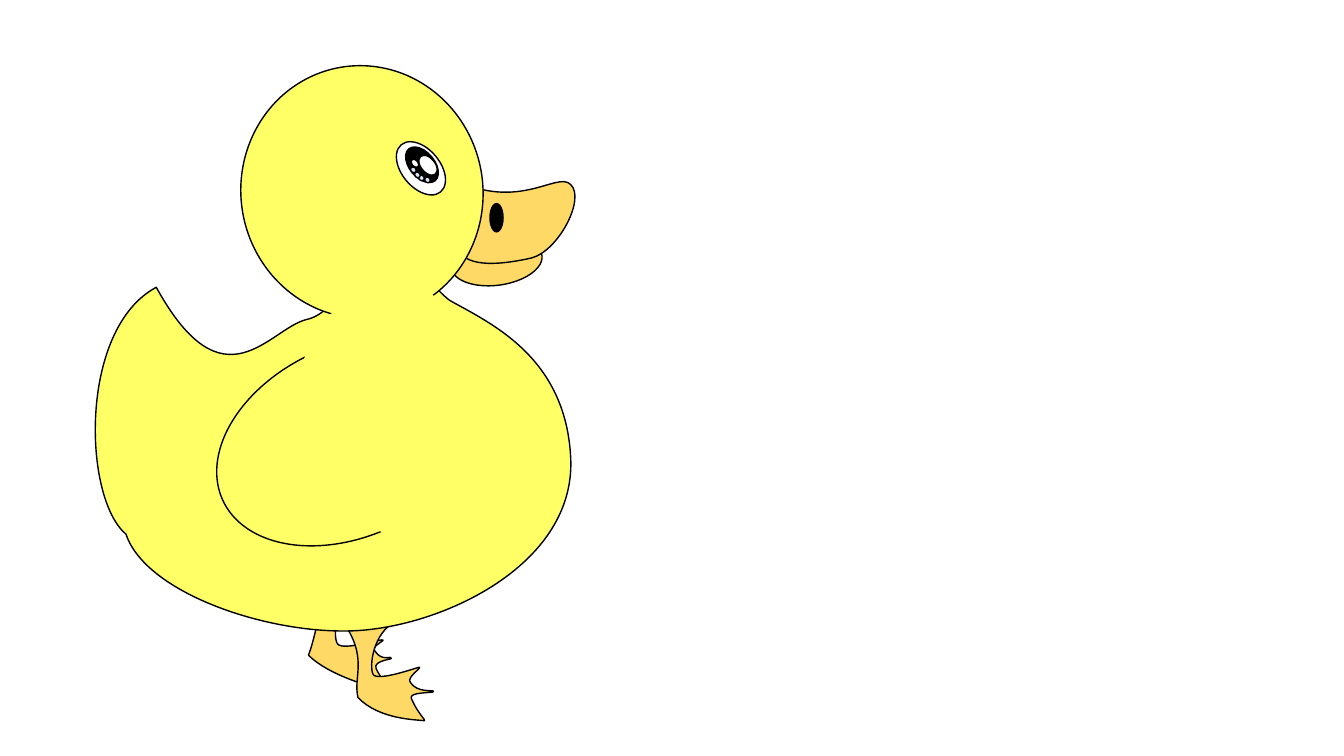
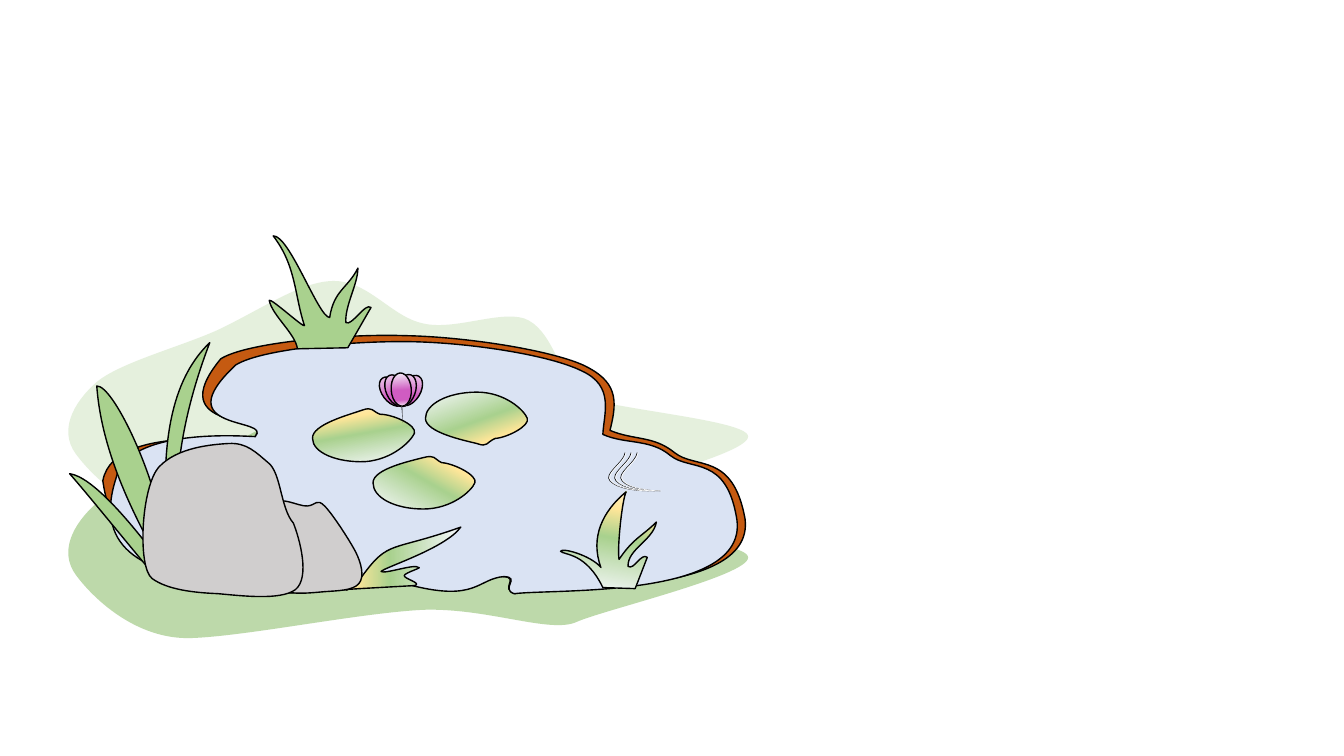
"""Draws a duck and a garden pond on two slides."""
import lxml.etree
import pptx
import pptx.dml.color
import pptx.enum.shapes
import pptx.oxml.ns
import pptx.util

RGBColor = pptx.dml.color.RGBColor
BLACK = RGBColor(0x00, 0x00, 0x00)
WHITE = RGBColor(0xFF, 0xFF, 0xFF)
DUCK_YELLOW = RGBColor(0xFF, 0xFF, 0x66)
BEAK_ORANGE = RGBColor(0xFF, 0xD9, 0x66)
PALE_BLUE = RGBColor(0xDA, 0xE3, 0xF3)
MEADOW_GREEN = RGBColor(0x70, 0xAD, 0x47)
LEAF_GREEN = RGBColor(0xA9, 0xD1, 0x8E)
BANK_BROWN = RGBColor(0xC5, 0x5A, 0x11)
ROCK_GREY = RGBColor(0xD0, 0xCE, 0xCE)
MIST = RGBColor(0xF6, 0xF8, 0xFC)
PETAL_PINK = RGBColor(0xD0, 0x5C, 0xC2)
SAND = RGBColor(0xFF, 0xE6, 0x99)
CREAM = RGBColor(0xFF, 0xF2, 0xCC)

LEAF_STOPS = ((0, MIST), (53, LEAF_GREEN), (79, SAND), (100, CREAM))
PETAL_STOPS = ((0, MIST), (53, PETAL_PINK), (79, PETAL_PINK), (100, WHITE))

COLUMNS, ROWS = 13.33, 7.5
POINTS_PER_COMMAND = {"M": 1, "L": 1, "C": 3}

FAR_LEG = """M 3.46,5.88 L 3.22,5.9 C 3.17,6.05 3.12,6.35 3.06,6.5
    3.27,6.71 3.73,6.83 3.84,6.85 3.95,6.87 3.8,6.79 3.73,6.63
    3.7,6.55 3.91,6.54 3.88,6.53 3.89,6.5 3.79,6.57 3.72,6.46
    3.67,6.42 3.81,6.36 3.8,6.35 3.8,6.33 3.41,6.46 3.35,6.39
    3.29,6.31 3.36,5.98 3.46,5.88"""
NEAR_LEG = """M 3.92,6.17 L 3.39,6.15 C 3.66,6.53 3.5,6.7 3.55,6.92
    3.76,7.14 4.13,7.14 4.21,7.15 4.23,7.15 4.15,7.09 4.08,6.93
    4.05,6.86 4.3,6.88 4.3,6.86 4.3,6.84 4.14,6.88 4.07,6.77
    4.03,6.72 4.18,6.63 4.16,6.62 4.17,6.61 3.74,6.77 3.7,6.69
    3.66,6.61 3.7,6.28 3.92,6.17"""
BODY = """M 5.66,4.54 C 5.61,3.54 4.87,3.21 4.46,2.98
    4.16,2.75 4.03,2.31 3.79,2.34 3.56,2.38 3.42,3.09 3.04,3.17
    2.67,3.26 2.22,4.07 1.55,2.85 0.78,3.26 0.82,4.94 1.25,5.3
    1.46,5.93 2.86,6.36 3.71,6.24 4.56,6.13 5.71,5.53 5.66,4.54"""
UPPER_BEAK = """M 5.66,1.83 C 5.52,1.69 5.12,2.14 4.41,1.73
    3.7,1.31 4.5,2.28 4.54,2.47 4.63,2.67 5,2.62 5.27,2.56
    5.54,2.49 5.81,1.97 5.66,1.83"""

MEADOW = """M 0.75,5.7 C 0.59,5.48 0.71,5.21 0.96,4.99
    1.21,4.78 1.91,4.61 2.25,4.43 2.67,4.22 3.05,3.96 3.36,3.99
    3.68,4.02 3.9,4.35 4.2,4.41 4.51,4.48 4.95,4.28 5.2,4.36
    5.46,4.45 5.58,4.92 5.67,5.08 5.77,5.24 7.42,5.35 7.42,5.53
    7.43,5.71 5.99,6.05 5.72,6.17 5.46,6.29 4.84,6.03 4.2,6.05
    3.57,6.08 2.46,6.31 1.9,6.33 1.34,6.35 0.91,5.92 0.75,5.7"""
BANK = """M 4.02,5.78 C 3.34,5.78 1.25,6.38 1.02,4.77
    1.14,4.13 2.71,4.46 2.54,4.31 2.74,4.11 1.58,4.3 2.19,3.56
    2.44,3.4 3.41,3.31 4.01,3.33 4.61,3.34 5.44,3.47 5.78,3.62
    6.12,3.78 6.13,3.96 6.05,4.27 6.29,4.37 6.48,4.32 6.69,4.49
    6.9,4.66 7.27,4.48 7.39,5.15 7.49,5.97 5.33,5.79 5.11,5.89
    4.95,5.84 5.16,5.73 4.99,5.72 4.75,5.69 4.7,5.78 4.02,5.78"""
WATER = """M 4.09,5.81 C 3.45,5.65 0.68,6.2 1.15,4.75
    1.26,4.19 2.65,4.35 2.53,4.33 2.72,4.14 1.62,4.29 2.34,3.62
    2.6,3.46 3.51,3.38 4.08,3.39 4.65,3.4 5.45,3.52 5.77,3.68
    6.1,3.83 5.99,4.1 5.98,4.31 6.2,4.41 6.45,4.35 6.65,4.52
    6.85,4.68 7.21,4.51 7.31,5.16 7.41,5.94 5.51,5.84 5.1,5.89
    4.96,5.84 5.17,5.73 5,5.72 4.74,5.74 4.73,5.97 4.09,5.81"""
LEFT_REEDS = """M 0.96,3.83 C 1.12,3.82 1.54,4.7 1.63,5.33
    1.68,5.07 1.49,3.96 2.08,3.4 1.63,4.58 1.79,5.22 1.74,5.39
    1.8,5.43 1.98,5.19 2.05,5.23 L 1.81,5.63 1.49,5.66
    C 1.28,5.41 0.8,4.82 0.69,4.7 0.92,4.73 1.31,5.2 1.57,5.55
    1.39,5.22 1.01,4.54 0.96,3.83"""
FRONT_GRASS = """M 3.36,5.78 C 3.5,5.94 3.39,5.81 3.59,5.72
    3.86,5.35 3.87,5.48 4.57,5.23 4.42,5.44 3.81,5.63 3.78,5.67
    3.81,5.7 4.12,5.59 4.15,5.63 4.2,5.63 4.02,5.68 4.01,5.71
    4,5.74 4.2,5.79 4.11,5.81 L 3.57,5.84 3.25,5.86
    C 3.21,5.85 3.3,5.8 3.36,5.78"""
BACK_GRASS = """M 2.71,2.34 C 2.87,2.33 3.16,3.15 3.27,3.15
    3.31,2.88 3.45,2.86 3.55,2.66 3.55,2.82 3.42,3.03 3.43,3.2
    3.49,3.24 3.62,3 3.68,3.05 L 3.45,3.45 2.95,3.46
    C 2.93,3.31 2.7,3.13 2.67,2.98 2.68,2.95 3.02,3.26 3.02,3.23
    2.92,2.93 2.94,2.64 2.71,2.34"""
RIGHT_GRASS = """M 6.21,4.88 C 6.17,4.96 6.12,5.44 6.14,5.55
    6.29,5.33 6.36,5.33 6.51,5.18 6.48,5.36 6.22,5.45 6.23,5.62
    6.29,5.66 6.36,5.48 6.42,5.53 L 6.3,5.84 5.98,5.83
    C 5.81,5.48 5.6,5.51 5.56,5.47 5.57,5.43 5.86,5.51 5.96,5.63
    5.85,5.33 5.98,5.07 6.21,4.88"""
LEFT_LILY = """M 4.11,4.3 C 4.08,4.37 3.9,4.56 3.62,4.58
    3.34,4.59 3.1,4.49 3.1,4.35 3.09,4.21 3.48,4.11 3.59,4.07
    3.7,4.03 3.69,4.08 3.77,4.11 3.9,4.11 4.14,4.22 4.11,4.3"""
RIGHT_LILY = """M 5.23,4.15 C 5.2,4.07 5.01,3.89 4.73,3.89
    4.44,3.89 4.22,4.01 4.22,4.15 4.22,4.29 4.61,4.37 4.73,4.4
    4.84,4.44 4.82,4.39 4.91,4.35 5.04,4.34 5.26,4.22 5.23,4.15"""
FRONT_LILY = """M 4.71,4.79 C 4.68,4.87 4.48,5.05 4.2,5.05
    3.92,5.05 3.7,4.94 3.7,4.79 3.7,4.65 4.09,4.57 4.2,4.54
    4.32,4.51 4.3,4.55 4.38,4.59 4.51,4.6 4.74,4.72 4.71,4.79"""
SMALL_ROCK = """M 2.7,5.03 C 2.74,4.89 2.96,5.03 3.05,5.02
    3.14,5.01 3.14,4.94 3.22,5.02 3.3,5.1 3.48,5.38 3.53,5.48
    3.58,5.58 3.62,5.72 3.56,5.79 3.5,5.86 3.35,5.86 3.22,5.87
    3.1,5.88 2.85,5.91 2.79,5.84 2.72,5.76 2.65,5.17 2.7,5.03"""
LARGE_ROCK = """M 1.58,4.63 C 1.76,4.44 2.09,4.41 2.27,4.4
    2.45,4.39 2.54,4.49 2.66,4.59 2.79,4.69 2.78,5.04 2.91,5.19
    2.97,5.34 3.08,5.73 2.93,5.85 2.78,5.96 2.39,5.91 2.16,5.89
    1.92,5.88 1.66,5.85 1.51,5.74 1.36,5.63 1.4,4.82 1.58,4.63"""
RIPPLE = """M 6.43,4.87 C 6.33,4.87 6.12,4.85 6.05,4.77
    5.98,4.7 6.19,4.59 6.2,4.49"""


class Illustrator:
    """Holds the drawing style and the current slide."""

    def __init__(self, presentation):
        self.presentation = presentation
        self.column = presentation.slide_width / COLUMNS
        self.row = presentation.slide_height / ROWS
        self.slide = None

    def new_slide(self):
        """Starts a blank slide."""
        layout = self.presentation.slide_layouts[6]
        self.slide = self.presentation.slides.add_slide(layout)

    def style(self, shape, fill, line=BLACK, width=1, opacity=100, angle=0, **values):
        """Sets fill, outline, opacity and further shape attributes."""
        shape.shadow.inherit = False
        if fill is None:
            shape.fill.background()
        elif isinstance(fill, RGBColor):
            shape.fill.solid()
            shape.fill.fore_color.rgb = fill
        else:
            self.blend(shape, fill, angle)
        if line is None:
            shape.line.fill.background()
        else:
            shape.line.color.rgb = line
            shape.line.width = pptx.util.Pt(width)
        if opacity < 100:
            for color in shape._element.spPr.iter(pptx.oxml.ns.qn("a:srgbClr")):
                alpha = lxml.etree.SubElement(color, pptx.oxml.ns.qn("a:alpha"))
                alpha.set("val", str(opacity * 1000))
        for name, value in values.items():
            setattr(shape, name, value)
        return shape

    def blend(self, shape, stops, angle):
        """Fills a shape with a linear gradient, its angle clockwise."""
        shape.fill.gradient()
        shape.fill.gradient_angle = 360 - angle
        stop_list = next(shape._element.spPr.iter(pptx.oxml.ns.qn("a:gsLst")))
        for stop in list(stop_list):
            stop_list.remove(stop)
        for position, color in stops:
            stop = lxml.etree.SubElement(stop_list, pptx.oxml.ns.qn("a:gs"))
            stop.set("pos", str(position * 1000))
            value = lxml.etree.SubElement(stop, pptx.oxml.ns.qn("a:srgbClr"))
            value.set("val", str(color))

    def preset(self, kind, left, top, width, height, fill, adjustments=(), **values):
        """Adds a preset shape placed in columns and rows."""
        shape = self.slide.shapes.add_shape(
            getattr(pptx.enum.shapes.MSO_SHAPE, kind),
            round(left * self.column), round(top * self.row),
            round(width * self.column), round(height * self.row))
        for index, adjustment in enumerate(adjustments):
            shape.adjustments[index] = adjustment
        return self.style(shape, fill, **values)

    def segments(self, outline, shift):
        """Yields the point groups of an outline, measured on the slide."""
        command, points = "M", []
        for token in outline.split():
            if token in POINTS_PER_COMMAND:
                command = token
                continue
            x, y = map(float, token.split(","))
            points.append((round((x + shift[0]) * self.column),
                           round((y + shift[1]) * self.row)))
            if len(points) == POINTS_PER_COMMAND[command]:
                yield points
                points = []

    def curve(self, outline, fill, shift=(0, 0), closed=True, **values):
        """Adds a freeform of lines and Bézier curves."""
        (start,), *segments = self.segments(outline, shift)
        samples, current = [], start
        for points in segments:
            if len(points) == 3:
                for step in range(1, 20):
                    t = step / 20
                    weights = ((1 - t) ** 3, 3 * t * (1 - t) ** 2,
                               3 * t * t * (1 - t), t ** 3)
                    corners = (current, *points)
                    samples.append(tuple(
                        round(sum(w * corner[axis] for w, corner in zip(weights, corners)))
                        for axis in (0, 1)))
            current = points[-1]
            samples.append(current)
        builder = self.slide.shapes.build_freeform(*start)
        builder.add_line_segments(samples, close=closed)
        shape = builder.convert_to_shape()
        contour = next(shape._element.spPr.iter(pptx.oxml.ns.qn("a:path")))
        for line in contour.findall(pptx.oxml.ns.qn("a:lnTo")):
            contour.remove(line)
        for index, points in enumerate(segments, 1):
            tag = "a:cubicBezTo" if len(points) == 3 else "a:lnTo"
            segment = lxml.etree.Element(pptx.oxml.ns.qn(tag))
            contour.insert(index, segment)
            for x, y in points:
                point = lxml.etree.SubElement(segment, pptx.oxml.ns.qn("a:pt"))
                point.set("x", str(x - shape.left))
                point.set("y", str(y - shape.top))
        return self.style(shape, fill, **values)


def draw_duck(artist):
    """Draws the duck from legs to wing."""
    artist.new_slide()
    for outline, fill in ((FAR_LEG, BEAK_ORANGE), (NEAR_LEG, BEAK_ORANGE), (BODY, DUCK_YELLOW)):
        artist.curve(outline, fill)
    artist.preset("OVAL", 4.47, 2.36, 0.91, 0.47, BEAK_ORANGE, rotation=352.3)
    artist.curve(UPPER_BEAK, BEAK_ORANGE)
    artist.preset("OVAL", 2.39, 0.65, 2.4, 2.51, DUCK_YELLOW, rotation=350.3)
    artist.preset("OVAL", 4.86, 2.02, 0.13, 0.28, BLACK)
    eye_parts = [(3.87, 1.48, 0.61, 0.38, WHITE), (3.98, 1.51, 0.41, 0.25, BLACK),
                 (4.13, 1.57, 0.23, 0.14, WHITE)]
    glints = ((4.21, 1.76), (4.15, 1.74), (4.11, 1.71), (4.07, 1.66))
    eye_parts += [(left, top, 0.06, 0.05, PALE_BLUE) for left, top in glints]
    eye_parts.append((4.07, 1.59, 0.09, 0.06, WHITE))
    for part in eye_parts:
        artist.preset("OVAL", *part, rotation=50.2)
    artist.preset("OVAL", 2.08, 3.43, 2.79, 1.89, DUCK_YELLOW, rotation=154.9)
    for left, top in ((2.95, 3.32), (2.91, 2.99)):
        artist.preset("ROUNDED_RECTANGLE", left, top, 2.2, 1.89, DUCK_YELLOW, (0.5,),
                      line=None, rotation=59.1)


def draw_pond(artist):
    """Draws the pond with its plants, rocks and ripples."""
    artist.new_slide()
    for rise, opacity in ((0, 46), (-1.2, 18)):
        artist.curve(MEADOW, MEADOW_GREEN, (0, rise), line=None, opacity=opacity)
    for outline, fill, angle in (
            (BANK, BANK_BROWN, 0), (WATER, PALE_BLUE, 0), (LEFT_REEDS, LEAF_GREEN, 0),
            (FRONT_GRASS, LEAF_STOPS, 180), (BACK_GRASS, LEAF_GREEN, 0),
            (LEFT_LILY, LEAF_STOPS, 260), (RIGHT_LILY, LEAF_STOPS, 70),
            (SMALL_ROCK, ROCK_GREY, 0), (LARGE_ROCK, ROCK_GREY, 0),
            (RIGHT_GRASS, LEAF_STOPS, 280), (FRONT_LILY, LEAF_STOPS, 300)):
        artist.curve(outline, fill, angle=angle)
    artist.preset("ARC", 3.96, 4.03, 0.07, 0.33, BLACK, (162, 163.48), rotation=355.7)
    for left, top, rotation in ((3.97, 3.71, 31), (3.79, 3.72, 323), (3.83, 3.71, 335.6),
                                (3.92, 3.71, 19.2), (3.88, 3.7, 355.7)):
        artist.preset("OVAL", left, top, 0.2, 0.33, PETAL_STOPS, angle=90, rotation=rotation)
    for line, offset in ((BLACK, 0), (WHITE, 0.01)):
        for gap in (0, 0.06, 0.12):
            artist.curve(RIPPLE, None, (offset + gap, 0), closed=False,
                         line=line, width=0.5, opacity=95)


def main():
    """Builds and saves the presentation."""
    presentation = pptx.Presentation()
    presentation.slide_width = pptx.util.Inches(COLUMNS)
    presentation.slide_height = pptx.util.Inches(ROWS)
    artist = Illustrator(presentation)
    draw_duck(artist)
    draw_pond(artist)
    presentation.save("out.pptx")


if __name__ == "__main__":
    main()
